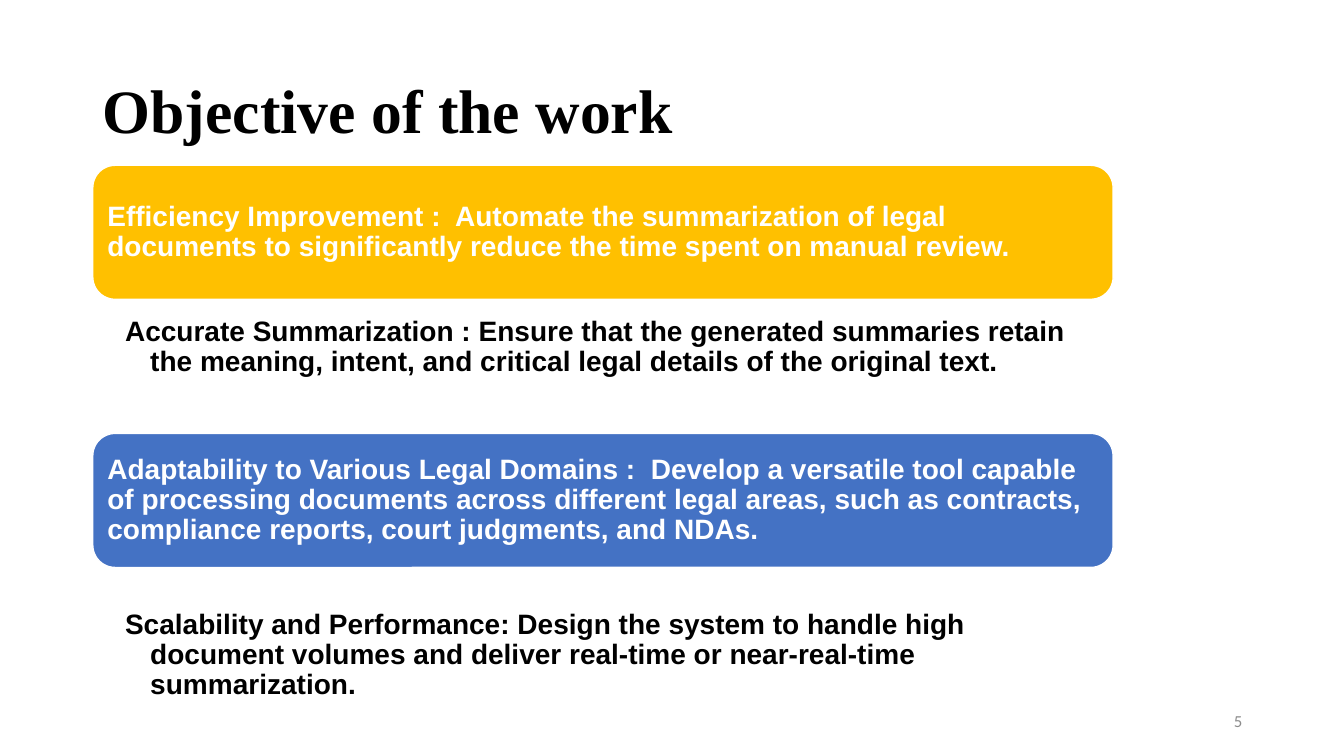
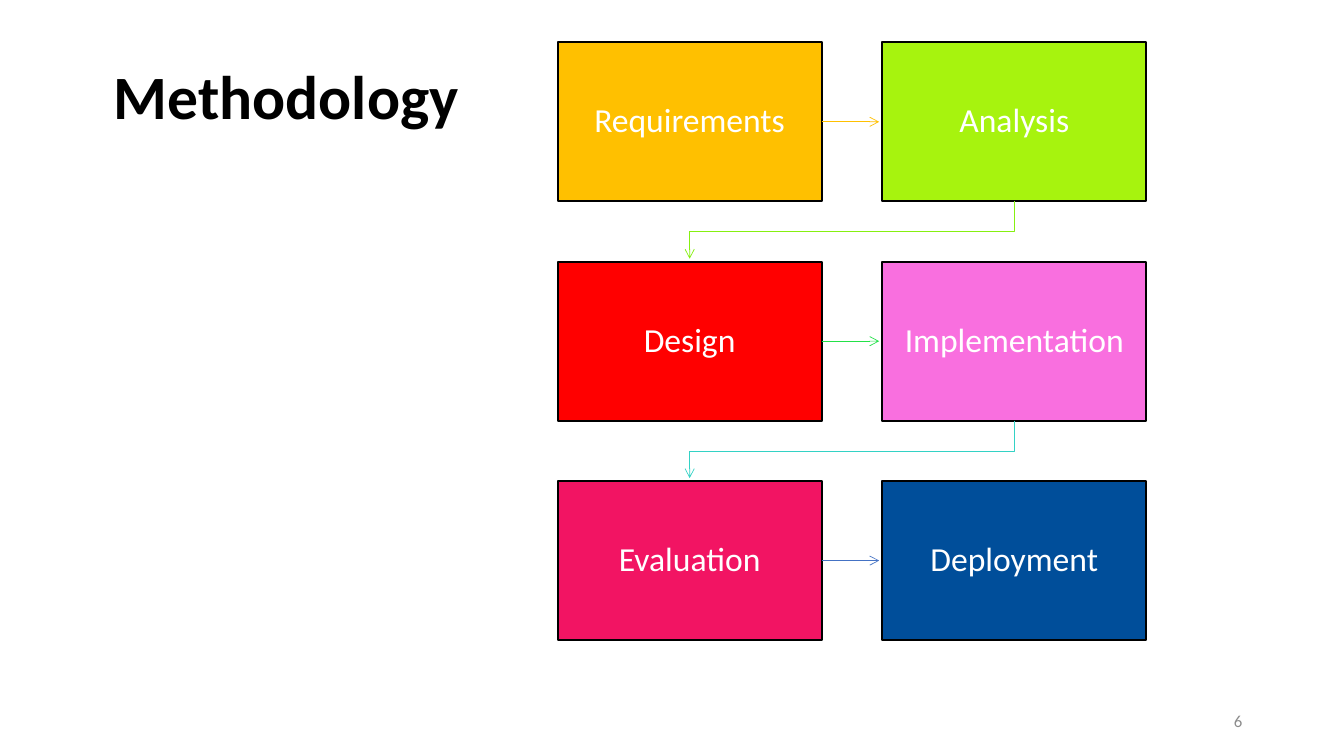
from pptx import Presentation
from pptx.dml.color import RGBColor
from pptx.enum.shapes import MSO_CONNECTOR, MSO_SHAPE
from pptx.enum.text import MSO_ANCHOR, MSO_AUTO_SIZE, PP_ALIGN
from pptx.oxml.ns import qn
from pptx.util import Inches, Pt
from lxml.etree import SubElement

BLACK = RGBColor(0x00, 0x00, 0x00)
WHITE = RGBColor(0xFF, 0xFF, 0xFF)
GREY = RGBColor(0x8C, 0x8C, 0x8C)
GOLD = RGBColor(0xFF, 0xC0, 0x00)
BLUE = RGBColor(0x44, 0x72, 0xC4)
LIME = RGBColor(0xA7, 0xF3, 0x0E)
RED = RGBColor(0xFF, 0x00, 0x00)
PINK = RGBColor(0xF9, 0x6F, 0xDF)
CRIMSON = RGBColor(0xF2, 0x14, 0x63)
NAVY = RGBColor(0x00, 0x4E, 0x9A)
LEAF = RGBColor(0x86, 0xF0, 0x11)
GREEN = RGBColor(0x23, 0xE1, 0x48)
TEAL = RGBColor(0x33, 0xD2, 0xC5)

SLIDE_WIDTH, SLIDE_HEIGHT = 13.33, 7.5
TITLE_ONLY = 5

# Objectives: text, banner colour (None for plain text), top, height
OBJECTIVES = [
    ("Efficiency Improvement :  Automate the summarization of legal documents "
     "to significantly reduce the time spent on manual review.", GOLD, 1.64, 1.33),
    ("Accurate Summarization : Ensure that the generated summaries retain the "
     "meaning, intent, and critical legal details of the original text.", None, 3.12, 1.18),
    ("Adaptability to Various Legal Domains :  Develop a versatile tool capable of "
     "processing documents across different legal areas, such as contracts, "
     "compliance reports, court judgments, and NDAs.", BLUE, 4.3, 1.33),
    ("Scalability and Performance: Design the system to handle high document "
     "volumes and deliver real-time or near-real-time summarization.", None, 6.02, 0.93),
]

# Steps: name, box colour, colour of the arrow to the next step
STEPS = [
    ("Requirements", GOLD, GOLD),
    ("Analysis", LIME, LEAF),
    ("Design", RED, GREEN),
    ("Implementation", PINK, TEAL),
    ("Evaluation", CRIMSON, BLUE),
    ("Deployment", NAVY, None),
]


def inches(*lengths):
    return [Inches(length) for length in lengths]


def write(shape, text, size, color, font="Calibri", bold=False,
          align=PP_ALIGN.LEFT, anchor=MSO_ANCHOR.MIDDLE, spacing=0.9, insets=None):
    """Fill a shape with one formatted paragraph and return the paragraph."""
    frame = shape.text_frame
    frame.text = text
    frame.word_wrap = True
    frame.auto_size = MSO_AUTO_SIZE.NONE
    frame.vertical_anchor = anchor
    if insets:
        (frame.margin_left, frame.margin_top,
         frame.margin_right, frame.margin_bottom) = inches(*insets)
    paragraph = frame.paragraphs[0]
    paragraph.alignment = align
    paragraph.line_spacing = spacing
    for run in paragraph.runs:
        run.font.name, run.font.size = font, Pt(size)
        run.font.bold, run.font.color.rgb = bold, color
    return paragraph


def add_panel(slide, kind, box, fill, line, line_width):
    panel = slide.shapes.add_shape(kind, *inches(*box))
    panel.shadow.inherit = False
    panel.fill.solid()
    panel.fill.fore_color.rgb = fill
    panel.line.color.rgb = line
    panel.line.width = Pt(line_width)
    return panel


def add_titled_slide(presentation, title, number, box, **title_style):
    """Add a slide with its title and page number."""
    slide = presentation.slides.add_slide(presentation.slide_layouts[TITLE_ONLY])
    heading = slide.shapes.title
    heading.left, heading.top, heading.width, heading.height = inches(*box)
    write(heading, title, 44, BLACK, bold=True,
          insets=(0.1, 0.05, 0.1, 0.05), **title_style)
    footer = slide.shapes.add_textbox(*inches(9.42, 6.95, 3, 0.4))
    write(footer, str(number), 12, GREY, align=PP_ALIGN.RIGHT, spacing=1.0)
    return slide


def add_objective(slide, box, text, color):
    """Place one objective, as a coloured banner or as indented text."""
    style = {"size": 20, "font": "Arial", "bold": True}
    if color is not None:
        banner = add_panel(slide, MSO_SHAPE.ROUNDED_RECTANGLE, box, color, WHITE, 1)
        write(banner, text, color=WHITE, insets=(0.08,) * 4, **style)
        return
    plain = slide.shapes.add_textbox(*inches(*box))
    paragraph = write(plain, text, color=BLACK, anchor=MSO_ANCHOR.TOP,
                      insets=(0.32, 0.03, 0.16, 0.03), **style)
    properties = paragraph._p.get_or_add_pPr()
    properties.set("marL", str(Inches(0.25)))
    properties.set("indent", str(Inches(-0.25)))


def add_arrow(slide, points, color):
    """Draw a thin arrow: a connector for two points, else a bent outline."""
    corners = [inches(*point) for point in points]
    if len(corners) == 2:
        arrow = slide.shapes.add_connector(MSO_CONNECTOR.STRAIGHT, *corners[0], *corners[1])
    else:
        builder = slide.shapes.build_freeform(*corners[0])
        builder.add_line_segments(corners[1:], close=False)
        arrow = builder.convert_to_shape()
        arrow.fill.background()
    arrow.line.color.rgb = color
    arrow.line.width = Pt(0.5)
    properties = arrow.element.spPr
    SubElement(properties.find(qn("a:ln")), qn("a:tailEnd"), type="arrow")
    SubElement(properties, qn("a:effectLst"))


def add_flow(slide, box, steps, columns=2):
    """Lay the steps out in rows inside the box and join them with arrows."""
    left, top, width, height = box
    gap, tip = 0.6, 0.03
    rows = len(steps) // columns
    step_width = (width - gap * (columns - 1)) / columns
    step_height = (height - gap * (rows - 1)) / rows
    for index, (name, color, arrow_color) in enumerate(steps):
        row, column = divmod(index, columns)
        x = left + column * (step_width + gap)
        y = top + row * (step_height + gap)
        step = add_panel(slide, MSO_SHAPE.RECTANGLE,
                         (x, y, step_width, step_height), color, BLACK, 1.5)
        write(step, name, 24, WHITE, align=PP_ALIGN.CENTER, insets=(0.19,) * 4)
        if arrow_color is None:
            continue
        if column < columns - 1:
            middle, right = y + step_height / 2, x + step_width
            points = [(right, middle), (right + gap - tip, middle)]
        else:
            start, end = x + step_width / 2, left + step_width / 2
            bottom = y + step_height
            points = [(start, bottom), (start, bottom + gap / 2),
                      (end, bottom + gap / 2), (end, bottom + gap - tip)]
        add_arrow(slide, points, arrow_color)


def main():
    presentation = Presentation()
    presentation.slide_width, presentation.slide_height = inches(SLIDE_WIDTH, SLIDE_HEIGHT)

    # Objectives
    slide = add_titled_slide(presentation, "Objective of the work", 5,
                             (0.92, 0.4, 11.5, 1.45), font="Times New Roman")
    for text, color, top, height in OBJECTIVES:
        add_objective(slide, (0.92, top, 10.12, height), text, color)

    # Methodology
    slide = add_titled_slide(presentation, "Methodology", 6, (1.03, 0.52, 6.67, 0.84),
                             anchor=MSO_ANCHOR.TOP, spacing=1.0)
    add_flow(slide, (5.53, 0.42, 5.84, 5.93), STEPS)

    presentation.save("out.pptx")


if __name__ == "__main__":
    main()
